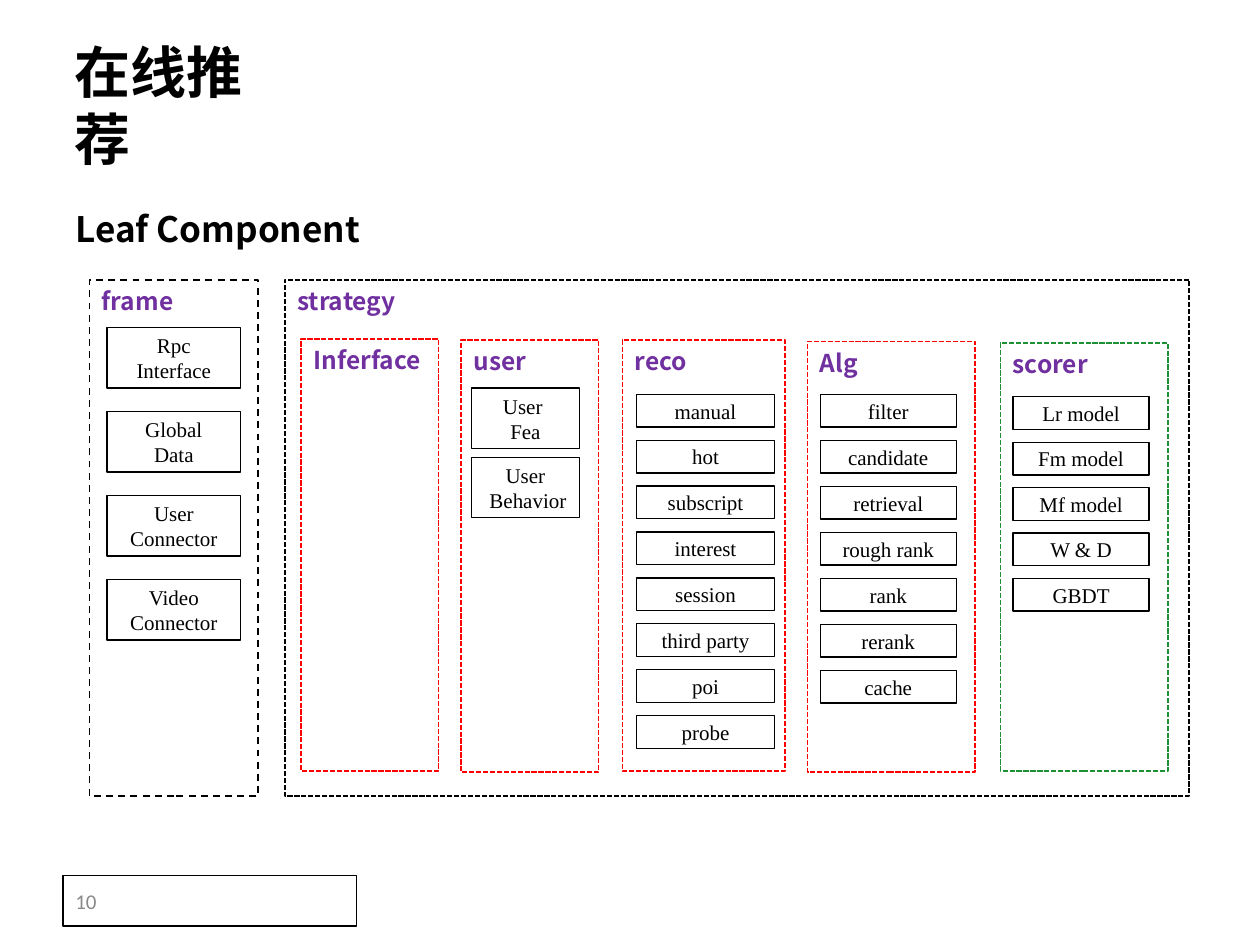
"""Build the slide showing the components of an online recommendation leaf."""
from lxml.etree import SubElement
from pptx import Presentation
from pptx.dml.color import RGBColor
from pptx.enum.dml import MSO_LINE_DASH_STYLE as Dash
from pptx.enum.shapes import MSO_SHAPE as Shape
from pptx.enum.text import MSO_ANCHOR as Anchor, MSO_AUTO_SIZE as AutoSize, PP_ALIGN as Align
from pptx.oxml.ns import qn
from pptx.util import Inches, Pt

COLORS = {"black": "000000", "white": "FFFFFF", "gray": "898989",
          "purple": "7030A0", "red": "FF0000", "green": "1F9135"}
HEADING, BODY, NUMBER = "Noto Sans CJK SC", "Times New Roman", "Calibri"

PANELS = [
    ("frame", (0.71, 2.22, 1.34, 4.1), "black", Dash.DASH),
    ("strategy", (2.26, 2.22, 7.18, 4.1), "black", Dash.SQUARE_DOT),
    ("Inferface", (2.39, 2.69, 1.09, 3.43), "red", Dash.SQUARE_DOT),
    ("user", (3.66, 2.7, 1.09, 3.43), "red", Dash.SQUARE_DOT),
    ("reco", (4.94, 2.7, 1.29, 3.42), "red", Dash.SQUARE_DOT),
    ("Alg", (6.41, 2.71, 1.33, 3.42), "red", Dash.SQUARE_DOT),
    ("scorer", (7.94, 2.72, 1.33, 3.4), "green", Dash.SQUARE_DOT),
]

STACKS = [
    (0.85, 1.06, 0.48, 2.6, 4.6,
     ["Rpc\nInterface", "Global\nData", "User\nConnector", "Video\nConnector"]),
    (3.74, 0.86, 0.48, 3.08, 3.63, ["User \nFea", "User\n Behavior"]),
    (5.05, 1.1, 0.26, 3.13, 5.68,
     ["manual", "hot", "subscript", "interest", "session", "third party", "poi", "probe"]),
    (6.51, 1.08, 0.26, 3.13, 5.32,
     ["filter", "candidate", "retrieval", "rough rank", "rank", "rerank", "cache"]),
    (8.04, 1.08, 0.26, 3.15, 4.59,
     ["Lr model", "Fm model", "Mf model", "W & D", "GBDT"]),
]


class SlideBuilder:
    """Holds the style and the current slide."""

    def __init__(self, slide):
        self.slide = slide

    def color(self, name):
        return RGBColor.from_string(COLORS[name])

    def fill_text(self, box, text, font, size, color="black", bold=False,
                  align=Align.LEFT, anchor=Anchor.MIDDLE, spacing=None, after=0):
        frame = box.text_frame
        frame.auto_size = AutoSize.NONE
        frame.word_wrap = True
        frame.vertical_anchor = anchor
        for index, line in enumerate(text.split("\n")):
            para = frame.add_paragraph() if index else frame.paragraphs[0]
            para.alignment = align
            para.space_before = Pt(0)
            para.space_after = Pt(after)
            para.line_spacing = spacing
            span = para.add_run()
            span.text = line
            span.font.name = font
            span.font.size = Pt(size)
            span.font.bold = bold
            span.font.color.rgb = self.color(color)
            SubElement(span.font._element, qn("a:ea"), typeface=font)

    def title(self, text, place):
        box = self.slide.shapes.title
        box.left, box.top, box.width, box.height = map(Inches, place)
        self.fill_text(box, text, HEADING, 32, bold=True)
        box.text_frame.word_wrap = False

    def subtitle(self, text, place):
        box = self.slide.shapes.add_textbox(*map(Inches, place))
        self.fill_text(box, text, HEADING, 20, bold=True, spacing=1.5)

    def rectangle(self, place, line="black", width=0.75, dash=None):
        box = self.slide.shapes.add_shape(Shape.RECTANGLE, *map(Inches, place))
        box.shadow.inherit = False
        box.fill.solid()
        box.fill.fore_color.rgb = self.color("white")
        box.line.color.rgb = self.color(line)
        box.line.width = Pt(width)
        box.line.dash_style = dash
        return box

    def panel(self, name, place, line, dash):
        box = self.rectangle(place, line, 1, dash)
        self.fill_text(box, name, HEADING, 14, "purple", True, anchor=Anchor.TOP, after=6)

    def stack(self, left, width, height, first, last, names):
        step = (last - first) / (len(names) - 1)
        for index, name in enumerate(names):
            box = self.rectangle((left, first + index * step, width, height))
            self.fill_text(box, name, BODY, 12, align=Align.CENTER)

    def page_number(self, text, place):
        self.fill_text(self.rectangle(place), text, NUMBER, 12, "gray")


def main():
    deck = Presentation()
    deck.slide_width, deck.slide_height = Inches(10), Inches(7.5)
    builder = SlideBuilder(deck.slides.add_slide(deck.slide_layouts[5]))
    builder.title("在线推荐", (0.49, 0.51, 1.98, 0.64))
    builder.page_number("10", (0.5, 6.95, 2.33, 0.4))
    builder.subtitle("Leaf Component", (0.5, 1.43, 2.61, 0.6))
    for panel in PANELS:
        builder.panel(*panel)
    for stack in STACKS:
        builder.stack(*stack)
    deck.save("out.pptx")


if __name__ == "__main__":
    main()
